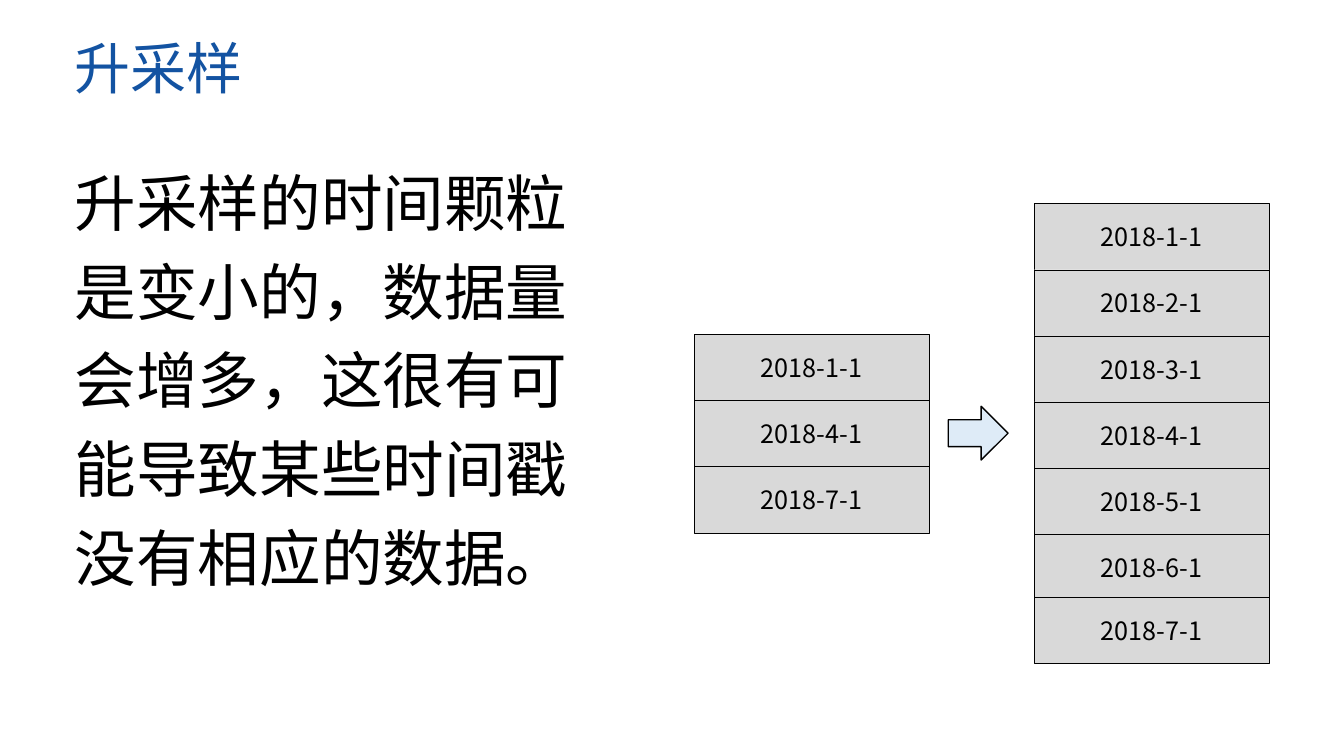
from lxml import etree
from pptx import Presentation
from pptx.dml.color import RGBColor
from pptx.enum.shapes import MSO_SHAPE
from pptx.enum.text import MSO_ANCHOR, MSO_AUTO_SIZE, PP_ALIGN
from pptx.oxml.ns import qn
from pptx.util import Pt

RECTANGLE = MSO_SHAPE.RECTANGLE
RIGHT_ARROW = MSO_SHAPE.RIGHT_ARROW
TOP, MIDDLE = MSO_ANCHOR.TOP, MSO_ANCHOR.MIDDLE
LEFT, CENTER = PP_ALIGN.LEFT, PP_ALIGN.CENTER
NO_AUTOFIT = MSO_AUTO_SIZE.NONE
FONT_NAME = "Noto Sans CJK SC"
CELL_WIDTH, CELL_HEIGHT, CELL_STEP = 167.8, 47.3, 47.23


def write_text(shape, text, size, color, anchor, alignment):
    frame = shape.text_frame
    frame.word_wrap = True
    frame.auto_size = NO_AUTOFIT
    frame.vertical_anchor = anchor
    paragraph = frame.paragraphs[0]
    paragraph.text = text
    paragraph.alignment = alignment
    paragraph.font.size = Pt(size)
    paragraph.font.name = FONT_NAME
    paragraph.font.color.rgb = RGBColor.from_string(color)
    properties = paragraph.font._element
    etree.SubElement(properties, qn("a:ea"), typeface=FONT_NAME)
    return paragraph


def add_filled_shape(kind, left, top, width, height, fill, line_width):
    shape = slide.shapes.add_shape(kind, Pt(left), Pt(top), Pt(width), Pt(height))
    shape.shadow.inherit = False
    shape.fill.solid()
    shape.fill.fore_color.rgb = RGBColor.from_string(fill)
    shape.line.color.rgb = RGBColor.from_string("000000")
    shape.line.width = Pt(line_width)
    return shape


presentation = Presentation()
presentation.slide_width = Pt(960)
presentation.slide_height = Pt(540)
slide = presentation.slides.add_slide(presentation.slide_layouts[5])

title = slide.shapes.title
title.left, title.top, title.width, title.height = Pt(46.3), Pt(20.2), Pt(679.7), Pt(55.7)
write_text(title, "升采样", 40, "1353A2", TOP, LEFT)

explanation = slide.shapes.add_textbox(Pt(46.3), Pt(103.7), Pt(400.3), Pt(326.9))
explanation_paragraph = write_text(
    explanation,
    "升采样的时间颗粒是变小的，数据量会增多，这很有可能导致某些时间戳没有相应的数据。",
    44, "000000", TOP, LEFT)
explanation_paragraph.line_spacing = 1.2

monthly_tops = [145.4 + CELL_STEP * row for row in range(6)] + [426.7]
quarterly_tops = [238.8 + CELL_STEP * row for row in range(3)]
date_columns = [
    (738.7, monthly_tops, range(1, 8)),
    (495.8, quarterly_tops, range(1, 8, 3)),
]
for left, tops, months in date_columns:
    for top, month in zip(tops, months):
        cell = add_filled_shape(RECTANGLE, left, top, CELL_WIDTH, CELL_HEIGHT, "D9D9D9", 0.25)
        write_text(cell, f"2018-{month}-1", 18, "000000", MIDDLE, CENTER)

add_filled_shape(RIGHT_ARROW, 677.4, 290.2, 42.7, 38.4, "DEEBF7", 1)

presentation.save("out.pptx")
